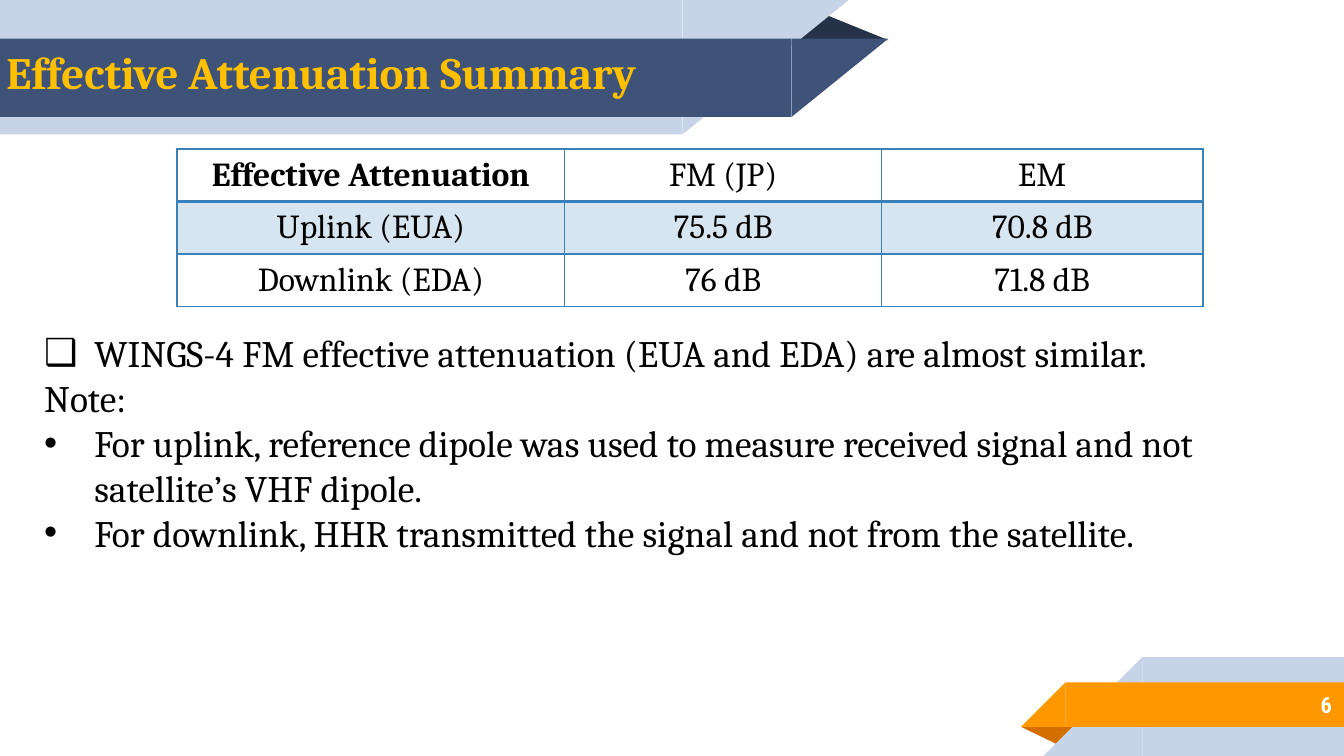
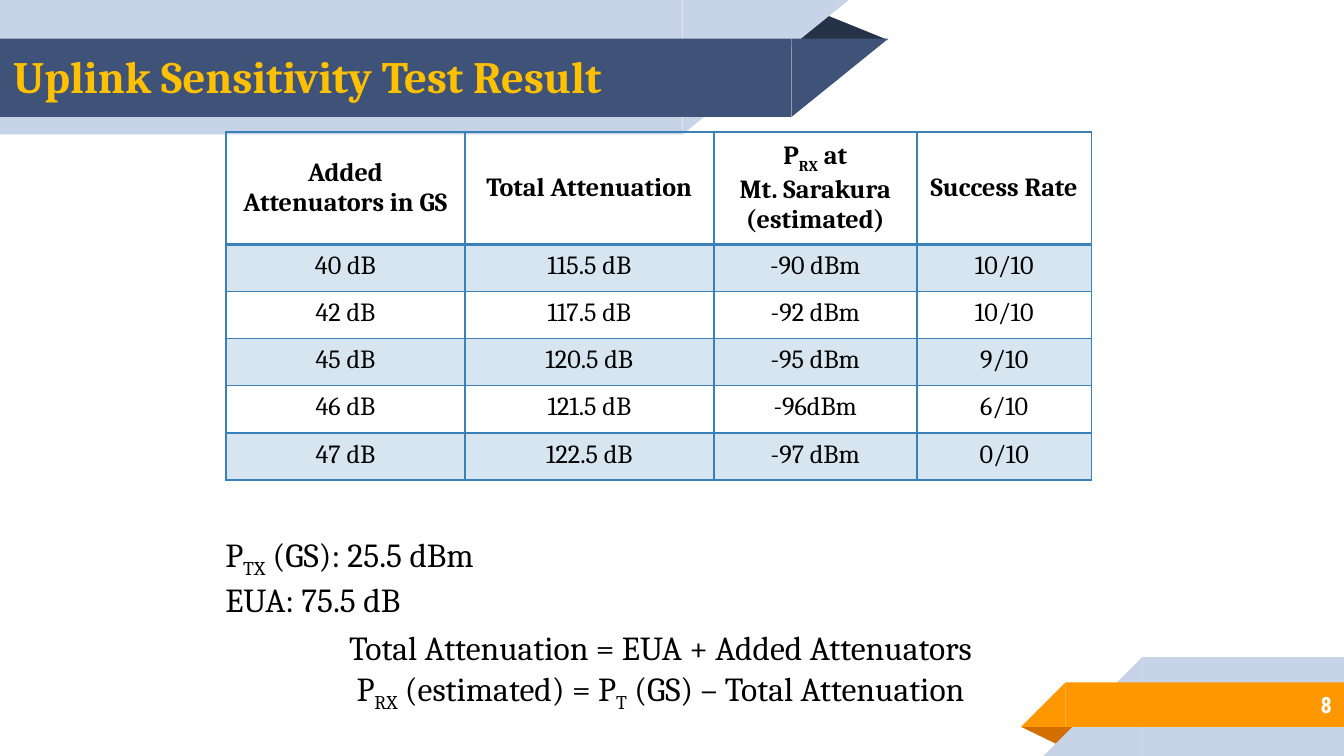
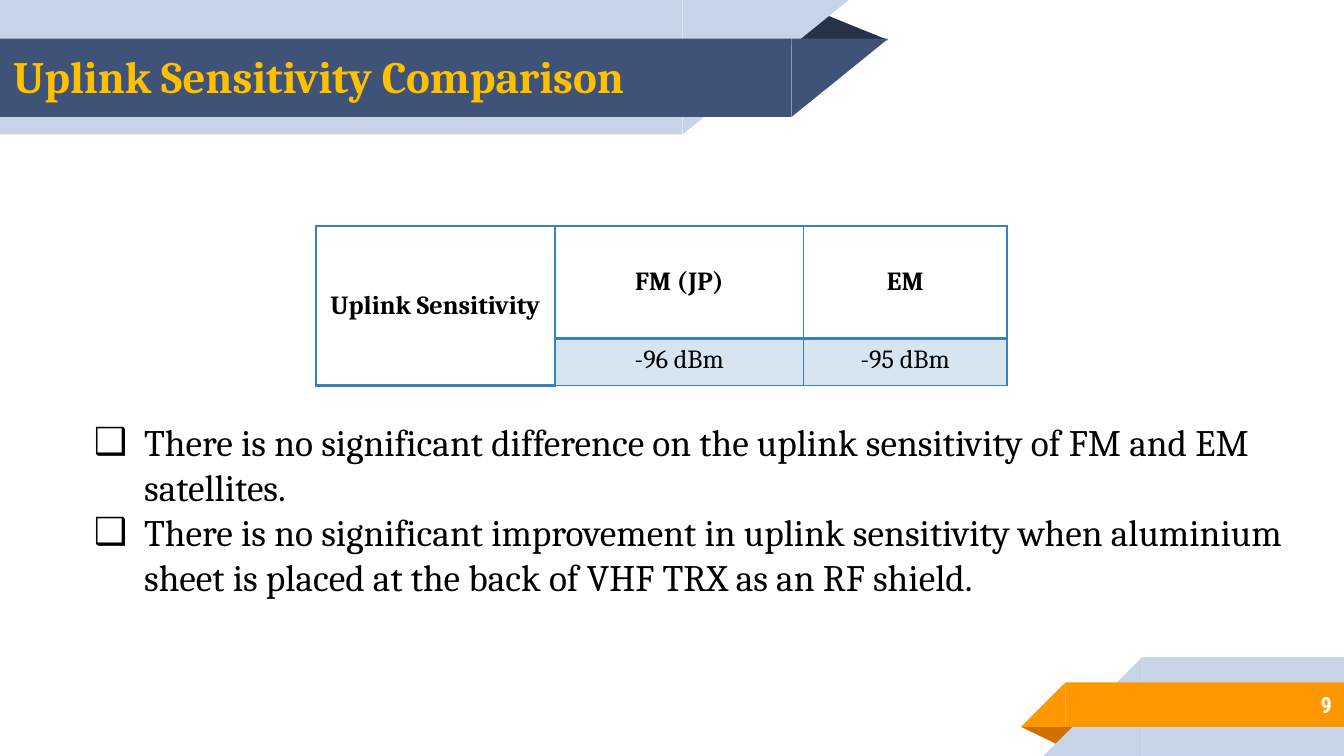
from lxml import etree
from pptx import Presentation
from pptx.dml.color import RGBColor
from pptx.enum.shapes import MSO_SHAPE
from pptx.enum.text import MSO_ANCHOR, MSO_AUTO_SIZE, PP_ALIGN
from pptx.oxml.ns import qn
from pptx.util import Cm, Pt

RECT, WEDGE, PEAK = MSO_SHAPE.RECTANGLE, MSO_SHAPE.RIGHT_TRIANGLE, MSO_SHAPE.ISOSCELES_TRIANGLE
LEFT, MID, RIGHT = PP_ALIGN.LEFT, PP_ALIGN.CENTER, PP_ALIGN.RIGHT
TOP, CENTER = MSO_ANCHOR.TOP, MSO_ANCHOR.MIDDLE
FIXED = MSO_AUTO_SIZE.NONE

BLACK = RGBColor(0x00, 0x00, 0x00)
WHITE = RGBColor(0xFF, 0xFF, 0xFF)
NAVY = RGBColor(0x3F, 0x53, 0x78)
DARK = RGBColor(0x26, 0x32, 0x48)
PALE = RGBColor(0xC7, 0xD3, 0xE6)
ORANGE = RGBColor(0xFF, 0x98, 0x00)
RUST = RGBColor(0xD2, 0x6F, 0x00)
GOLD = RGBColor(0xFF, 0xC0, 0x00)
BLUE = RGBColor(0x3A, 0x81, 0xBA)

SERIF, SANS = "Cambria", "Roboto Condensed"
WIDE, HIGH = 25.4, 14.29
HEAD, FOOT = (0, 0), (19.3, 12.42)
BOX, DOT = "❑", "•"
ONLY, LIST = 5, 1


def write(frame, text, size, color=BLACK, bold=False, align=LEFT, font=SERIF):
    """Fill a frame line by line; parts between underscores are subscripts."""
    for row, line in enumerate(text.split("\n")):
        para = frame.add_paragraph() if row else frame.paragraphs[0]
        para.alignment = align
        para.space_before = Pt(0)
        for turn, part in enumerate(line.split("_")):
            run = para.add_run()
            run.text = part
            run.font.name, run.font.size, run.font.bold = font, Pt(size), bold
            run.font.color.rgb = color
            if turn % 2:
                run.font._element.set("baseline", "-25000")


def pad(frame, inset):
    """Set equal insets and centre the text in height."""
    frame.margin_left = frame.margin_right = Cm(inset)
    frame.margin_top = frame.margin_bottom = Cm(inset)
    frame.vertical_anchor = CENTER


def place(item, left, top, width, height):
    """Move and size an item."""
    item.left, item.top = Cm(left), Cm(top)
    item.width, item.height = Cm(width), Cm(height)


def draw(slide, origin, kind, box, color, turn=0, flip=False):
    """Add a flat shape at a box relative to the origin."""
    left, top, width, height = box
    shape = slide.shapes.add_shape(kind, Cm(origin[0] + left), Cm(origin[1] + top),
                                   Cm(width), Cm(height))
    shape.shadow.inherit = False
    shape.fill.solid()
    shape.fill.fore_color.rgb = color
    shape.line.fill.background()
    shape.rotation = turn
    if flip:
        shape.element.spPr.xfrm.set("flipH", "1")
    if kind == PEAK:
        shape.adjustments[0] = 0.32


def header(slide, origin):
    """Draw the folded ribbon behind the title."""
    draw(slide, origin, PEAK, (14.94, 0.25, 1.85, 0.51), DARK)
    for top, width, tip, height, color in ((0, 12.9, 3.14, 2.54, PALE),
                                           (0.73, 14.96, 1.83, 1.48, NAVY)):
        draw(slide, origin, RECT, (0, top, width, height), color)
        draw(slide, origin, WEDGE, (width, top, tip, height), color, 180, True)


def footer(slide, origin, number):
    """Draw the folded ribbon with the slide number."""
    draw(slide, origin, PEAK, (0, 1.32, 1.09, 0.36), RUST, 180)
    for left, top, side, width, color in ((0.42, 0, 1.87, 3.81, PALE),
                                          (0, 0.48, 0.84, 5.26, ORANGE)):
        draw(slide, origin, RECT, (left + side, top, width, side), color)
        draw(slide, origin, WEDGE, (left, top, side, side), color, flip=True)
    label = slide.shapes.add_textbox(Cm(origin[0] + 1.98), Cm(origin[1] + 0.46),
                                     Cm(4.14), Cm(0.89))
    label.text_frame.word_wrap = True
    pad(label.text_frame, 0.25)
    write(label.text_frame, number, 12, WHITE, True, RIGHT, SANS)


def start(deck, layout, title, number, spot=(0, 0.36)):
    """Add a slide with its ribbons, title and number."""
    slide = deck.slides.add_slide(deck.slide_layouts[layout])
    header(slide, HEAD)
    footer(slide, FOOT, number)
    name = slide.shapes.title
    place(name, *spot, 16.33, 2.13)
    name.text_frame.auto_size = FIXED
    pad(name.text_frame, 0.25)
    write(name.text_frame, title, 24, GOLD, True)
    slide.shapes._spTree.append(name.element)
    return slide


def edge(cell, side, width):
    """Draw one border of a cell."""
    line = etree.SubElement(cell._tc.get_or_add_tcPr(), qn("a:ln" + side), w=str(Pt(width)))
    fill = etree.SubElement(line, qn("a:solidFill"))
    etree.SubElement(fill, qn("a:srgbClr"), val=str(BLUE))


def tint(cell):
    """Fill a cell with see-through blue."""
    cell.fill.solid()
    cell.fill.fore_color.rgb = BLUE
    color = cell._tc.tcPr.find(qn("a:solidFill"))[0]
    etree.SubElement(color, qn("a:alpha"), val="20000")


def grid(slide, spot, cols, rows, data, size, anchor=TOP, bold=None, tall=False):
    """Add a banded table; bold counts bold heads, tall merges the first column."""
    frame = slide.shapes.add_table(len(rows), len(cols), Cm(spot[0]), Cm(spot[1]),
                                   Cm(sum(cols)), Cm(sum(rows)))
    table = frame.table
    for col, width in zip(table.columns, cols):
        col.width = Cm(width)
    for row, height in zip(table.rows, rows):
        row.height = Cm(height)
    if tall:
        table.cell(0, 0).merge(table.cell(len(rows) - 1, 0))
    heads = len(cols) if bold is None else bold
    for row, line in enumerate(data):
        for col, text in enumerate(line):
            cell = table.cell(row, col)
            edge(cell, "L", 1)
            edge(cell, "R", 1)
            edge(cell, "T", 2 if row == 1 else 1)
            edge(cell, "B", 2 if row == 0 or cell.is_spanned else 1)
            if row % 2 and not cell.is_spanned:
                tint(cell)
            else:
                cell.fill.background()
            cell.vertical_anchor = anchor if row else CENTER
            if text:
                write(cell.text_frame, text, size, bold=row == 0 and col < heads, align=MID)


def points(slide, box, items):
    """Fill the body with lines that each have a bullet or none."""
    body = slide.placeholders[1]
    place(body, *box)
    frame = body.text_frame
    frame.auto_size, frame.vertical_anchor = FIXED, TOP
    write(frame, "\n".join(text for _, text in items), 20)
    for para, (mark, _) in zip(frame.paragraphs, items):
        prop = para._p.get_or_add_pPr()
        hang = Cm(0.95) if mark else 0
        prop.set("marL", str(hang))
        prop.set("indent", str(-hang))
        if mark:
            color = etree.SubElement(prop, qn("a:buClr"))
            etree.SubElement(color, qn("a:srgbClr"), val=str(BLACK))
            etree.SubElement(prop, qn("a:buChar"), char=mark)
        else:
            etree.SubElement(prop, qn("a:buNone"))


def note(slide, box, text, align=LEFT, wrap=True):
    """Add a plain text box."""
    frame = slide.shapes.add_textbox(*map(Cm, box)).text_frame
    frame.word_wrap = wrap
    write(frame, text, 18, align=align)


def losses(deck):
    """Build the attenuation summary."""
    slide = start(deck, LIST, "Effective Attenuation Summary", "6", (-0.13, 0.28))
    grid(slide, (3.35, 2.82), (7.32, 5.99, 6.07), [0.99] * 3, (
        ("Effective Attenuation", "FM (JP)", "EM"),
        ("Uplink (EUA)", "75.5 dB", "70.8 dB"),
        ("Downlink (EDA)", "76 dB", "71.8 dB"),
    ), 18, CENTER, bold=1)
    points(slide, (0.58, 6.12, 24.38, 4.52), (
        (BOX, "WINGS-4 FM effective attenuation (EUA and EDA) are almost similar."),
        (None, "Note:"),
        (DOT, "For uplink, reference dipole was used to measure received signal "
              "and not satellite’s VHF dipole."),
        (DOT, "For downlink, HHR transmitted the signal and not from the satellite."),
    ))


def result(deck):
    """Build the test result."""
    slide = start(deck, ONLY, "Uplink Sensitivity Test Result", "8")
    grid(slide, (4.27, 2.49), (4.52, 4.7, 3.84, 3.3), [2.13] + [0.89] * 5, (
        ("Added Attenuators in GS", "Total Attenuation",
         "P_RX_ at\nMt. Sarakura\n(estimated)", "Success Rate"),
        ("40 dB", "115.5 dB", "-90 dBm", "10/10"),
        ("42 dB", "117.5 dB", "-92 dBm", "10/10"),
        ("45 dB", "120.5 dB", "-95 dBm", "9/10"),
        ("46 dB", "121.5 dB", "-96dBm", "6/10"),
        ("47 dB", "122.5 dB", "-97 dBm", "0/10"),
    ), 14)
    note(slide, (4.01, 9.96, 6.25, 1.8), "P_TX_ (GS): 25.5 dBm\nEUA: 75.5 dB")
    note(slide, (5.54, 11.73, 13.89, 1.8),
         "Total Attenuation = EUA + Added Attenuators\n"
         "P_RX_ (estimated) = P_T_ (GS) – Total Attenuation", MID, False)


def compare(deck):
    """Build the model comparison."""
    slide = start(deck, LIST, "Uplink Sensitivity Comparison", "9")
    grid(slide, (5.97, 4.27), (4.52, 4.7, 3.84), (2.13, 0.89), (
        ("Uplink Sensitivity", "FM (JP)", "EM"),
        ("", "-96 dBm", "-95 dBm"),
    ), 14, tall=True)
    points(slide, (1.52, 7.8, 23.16, 3.68), (
        (BOX, "There is no significant difference on the uplink sensitivity "
              "of FM and EM satellites."),
        (BOX, "There is no significant improvement in uplink sensitivity when aluminium "
              "sheet is placed at the back of VHF TRX as an RF shield."),
    ))


def main():
    """Build and save the deck."""
    deck = Presentation()
    deck.slide_width, deck.slide_height = Cm(WIDE), Cm(HIGH)
    for build in (losses, result, compare):
        build(deck)
    deck.save("out.pptx")


if __name__ == "__main__":
    main()
